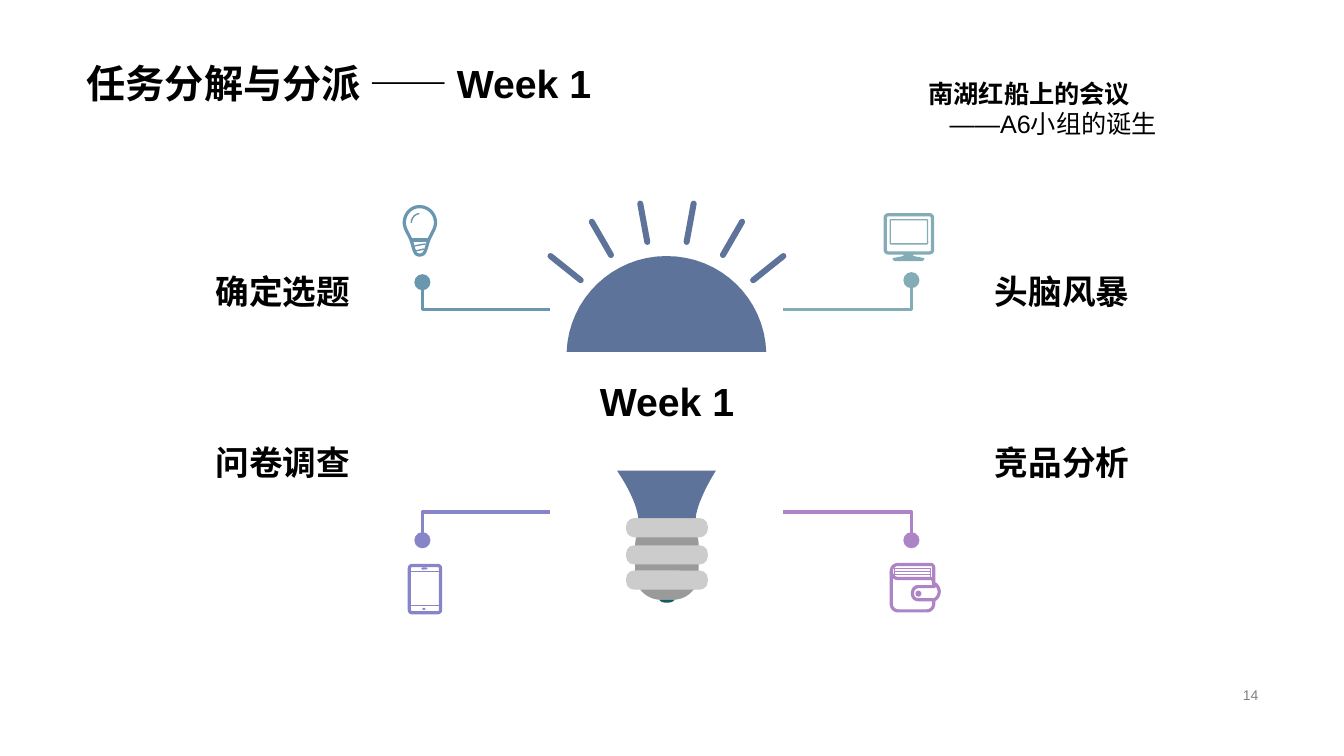
import pptx
import pptx.dml.color
import pptx.enum.lang
import pptx.enum.shapes
import pptx.enum.text
import pptx.oxml
import pptx.oxml.ns
import pptx.util

PX = 9144  # EMU in one px, 100 px to the inch
AXIS = 1323  # mirrored points have x values that add up to this
BLUE, TEAL, SEA = "5D739A", "6997AF", "84ACB6"
VIOLET, PURPLE = "8784C7", "AD84C6"
LIGHT_GREY, DARK_GREY, TIP_GREEN = "CDCCCC", "9B9A9A", "1A5A62"
STROKE, THIN = 2.3, 1

SHAPE = pptx.enum.shapes.MSO_SHAPE
ALIGN = pptx.enum.text.PP_ALIGN
ANCHOR = pptx.enum.text.MSO_ANCHOR


def rgb(value):
    return pptx.dml.color.RGBColor.from_string(value)


def mirror(points):
    return [(AXIS - x, y) for x, y in points]


def trace(start, *steps):
    """Points of an outline; a step is one corner or the three points of a curve."""
    points = [start]
    for step in steps:
        if len(step) == 2:
            points.append(step)
            continue
        ends = (points[-1], *step)
        for i in range(1, 17):
            t = i / 16
            weights = ((1 - t) ** 3, 3 * t * (1 - t) ** 2, 3 * t * t * (1 - t), t ** 3)
            points.append(tuple(sum(w * p[axis] for w, p in zip(weights, ends))
                                for axis in (0, 1)))
    return points


class Board:
    font = "Arial"
    ink = "000000"

    def __init__(self, slide):
        self.slide = slide
        self.shapes = slide.shapes

    def place(self, shape, box):
        shape.left, shape.top, shape.width, shape.height = (v * PX for v in box)

    def paint(self, shape, fill, line, width):
        shape.shadow.inherit = False
        if fill:
            shape.fill.solid()
            shape.fill.fore_color.rgb = rgb(fill)
        else:
            shape.fill.background()
        if line:
            shape.line.color.rgb = rgb(line)
            shape.line.width = pptx.util.Pt(width)
        else:
            shape.line.fill.background()

    def set_text(self, frame, lines, size, color=None, bold=True, align=ALIGN.LEFT,
                 anchor=ANCHOR.BOTTOM):
        frame.word_wrap = True
        frame.auto_size = pptx.enum.text.MSO_AUTO_SIZE.NONE
        frame.vertical_anchor = anchor
        frame.text = "\n".join(lines)
        for paragraph in frame.paragraphs:
            paragraph.alignment = align
            font = paragraph.font
            font.name, font.size, font.bold = self.font, pptx.util.Pt(size), bold
            font.color.rgb = rgb(color or self.ink)
            font.language_id = pptx.enum.lang.MSO_LANGUAGE_ID.SIMPLIFIED_CHINESE
        return frame

    def title(self, text, box, size):
        heading = self.shapes.title
        self.place(heading, box)
        frame = self.set_text(heading.text_frame, [text], size)
        frame.paragraphs[0].line_spacing = 0.9

    def text(self, lines, box, size, **style):
        area = self.shapes.add_textbox(*(v * PX for v in box))
        return self.set_text(area.text_frame, lines, size, **style)

    def preset(self, kind, box, fill=None, line=None, width=STROKE, corner=None):
        shape = self.shapes.add_shape(kind, *(v * PX for v in box))
        if corner is not None:
            shape.adjustments[0] = corner
        self.paint(shape, fill, line, width)

    def outline(self, points, fill=None, line=None, width=STROKE, close=True):
        corners = [(x * PX, y * PX) for x, y in points]
        builder = self.shapes.build_freeform(*corners[0], scale=1.0)
        builder.add_line_segments(corners[1:], close=close)
        self.paint(builder.convert_to_shape(), fill, line, width)

    def line(self, start, end, color, width=THIN, cap="flat"):
        stroke = self.shapes.add_connector(
            pptx.enum.shapes.MSO_CONNECTOR.STRAIGHT, *(v * PX for v in (*start, *end)))
        stroke.line.color.rgb = rgb(color)
        stroke.line.width = pptx.util.Pt(width)
        properties = stroke._element.spPr
        properties.find(pptx.oxml.ns.qn("a:ln")).set("cap", cap)
        properties.append(pptx.oxml.parse_xml(
            "<a:effectLst %s/>" % pptx.oxml.ns.nsdecls("a")))


def draw_branches(board):
    branches = (
        (False, 280, 307, TEAL), (True, 278, 307, SEA),
        (False, 536, 508, VIOLET), (True, 536, 508, PURPLE),
    )
    for on_right, dot_y, arm_y, color in branches:
        arm = [(419, dot_y), (419, arm_y), (546, arm_y)]
        if on_right:
            arm = mirror(arm)
        board.outline(arm, line=color, width=2.5, close=False)
        board.preset(SHAPE.OVAL, (arm[0][0] - 8, dot_y - 8, 16, 16), color)


def draw_lamp(board):
    # Screw base
    board.preset(SHAPE.ROUNDED_RECTANGLE, (630, 515, 63, 80), DARK_GREY, corner=0.4)
    for top in (514, 541, 566):
        board.preset(SHAPE.ROUNDED_RECTANGLE, (621, top, 81, 19), LIGHT_GREY, corner=0.42)
    board.outline(trace((654, 595), ((655, 597), (658, 598), (661, 598)),
                        ((665, 598), (668, 597), (669, 595))), TIP_GREEN)
    # Glass
    board.outline(trace((760, 349), ((758, 296), (715, 254), (661, 254)),
                        ((608, 254), (564, 296), (562, 349))), BLUE)
    board.outline(trace((612, 467), ((623, 483), (632, 502), (633, 514)), (690, 514),
                        ((691, 502), (700, 483), (710, 467))), BLUE)
    # Rays
    for ray in ([(546, 254), (576, 278)], [(587, 220), (606, 253)], [(635, 202), (642, 240)]):
        for start, end in (ray, mirror(ray)):
            board.line(start, end, BLUE, 4.3, "rnd")


def draw_bulb_icon(board):
    board.outline(trace(
        (416, 205), ((408, 205), (401, 212), (401, 221)), ((401, 227), (406, 233), (408, 239)),
        ((411, 248), (411, 253), (416, 253)), ((422, 253), (422, 248), (425, 239)),
        ((427, 233), (432, 227), (432, 221)), ((432, 212), (425, 205), (416, 205))), line=TEAL)
    board.line((408, 238), (425, 238), TEAL, STROKE)
    for start, end in (((411, 244), (422, 242)), ((412, 249), (421, 247))):
        board.line(start, end, TEAL)
    board.outline(trace((408, 221), ((408, 216), (412, 212), (416, 212))),
                  line=TEAL, width=THIN, close=False)


def draw_monitor_icon(board):
    board.preset(SHAPE.ROUNDED_RECTANGLE, (878, 213, 47, 38), line=SEA, corner=0.08)
    board.preset(SHAPE.ROUNDED_RECTANGLE, (883, 218, 37, 24), line=SEA, width=THIN, corner=0.04)
    board.outline([(896, 251), (906, 251), (906, 254), (916, 256), (917, 257), (915, 259),
                   (887, 259), (885, 257), (886, 256), (896, 254)], SEA)


def draw_phone_icon(board):
    board.preset(SHAPE.ROUNDED_RECTANGLE, (406, 561, 31, 47), line=VIOLET, corner=0.09)
    for y in (567, 601):
        board.line((406, y), (437, y), VIOLET)
    for box in ((418, 563, 6, 2), (419, 603, 3, 2)):
        board.preset(SHAPE.ROUNDED_RECTANGLE, box, VIOLET, corner=0.5)


def draw_wallet_icon(board):
    flap = trace((926, 580), (926, 578), ((926, 576), (925, 574), (923, 574)), (891, 574),
                 ((887, 574), (884, 571), (884, 567)), ((884, 563), (887, 560), (891, 560)),
                 (923, 560), ((925, 560), (926, 562), (926, 563)), (926, 580))
    pocket = trace((884, 567), (884, 599), ((884, 603), (887, 606), (891, 606)), (919, 606),
                   ((923, 606), (926, 603), (926, 599)), (926, 595))
    clasp = trace((927, 595), (911, 595), ((907, 595), (905, 592), (905, 589)),
                  ((905, 585), (907, 582), (911, 582)), (925, 582),
                  ((927, 582), (928, 581), (927, 579)), ((933, 583), (933, 591), (927, 595)))
    for part in (flap, pocket, clasp):
        board.outline(part, line=PURPLE, close=False)
    board.preset(SHAPE.OVAL, (908, 586, 6, 6), PURPLE)
    board.preset(SHAPE.RECTANGLE, (887, 564, 36, 9), line=PURPLE, width=THIN)
    for y in (567, 570):
        board.line((887, y), (923, y), PURPLE)


def main():
    deck = pptx.Presentation()
    deck.slide_width, deck.slide_height = 1333 * PX, 750 * PX
    board = Board(deck.slides.add_slide(deck.slide_layouts[5]))

    # Heading, story line and page number
    board.title("任务分解与分派 —— Week 1", (76, 8, 1181, 103), 28)
    story = board.text(["南湖红船上的会议", "——A6小组的诞生"], (911, 73, 272, 101), 18,
                       anchor=ANCHOR.TOP)
    team = story.paragraphs[1]
    team.font.bold = False
    team._p.get_or_add_pPr().set("marL", str(21 * PX))
    board.text(["14"], (942, 678, 316, 23), 10, color="808080", bold=False,
               align=ALIGN.RIGHT, anchor=ANCHOR.MIDDLE)

    # Lamp with four branches and their icons
    draw_branches(board)
    draw_lamp(board)
    for draw_icon in (draw_bulb_icon, draw_monitor_icon, draw_phone_icon, draw_wallet_icon):
        draw_icon(board)

    # Week and its tasks
    board.text(["Week 1"], (563, 364, 197, 68), 28, align=ALIGN.CENTER, anchor=ANCHOR.MIDDLE)
    for left, align, tasks in ((126, ALIGN.RIGHT, ("确定选题", "问卷调查")),
                               (977, ALIGN.LEFT, ("头脑风暴", "竞品分析"))):
        for top, task in zip((272, 441), tasks):
            board.text([task], (left, top, 231, 42), 24, align=align)

    deck.save("out.pptx")


if __name__ == "__main__":
    main()
